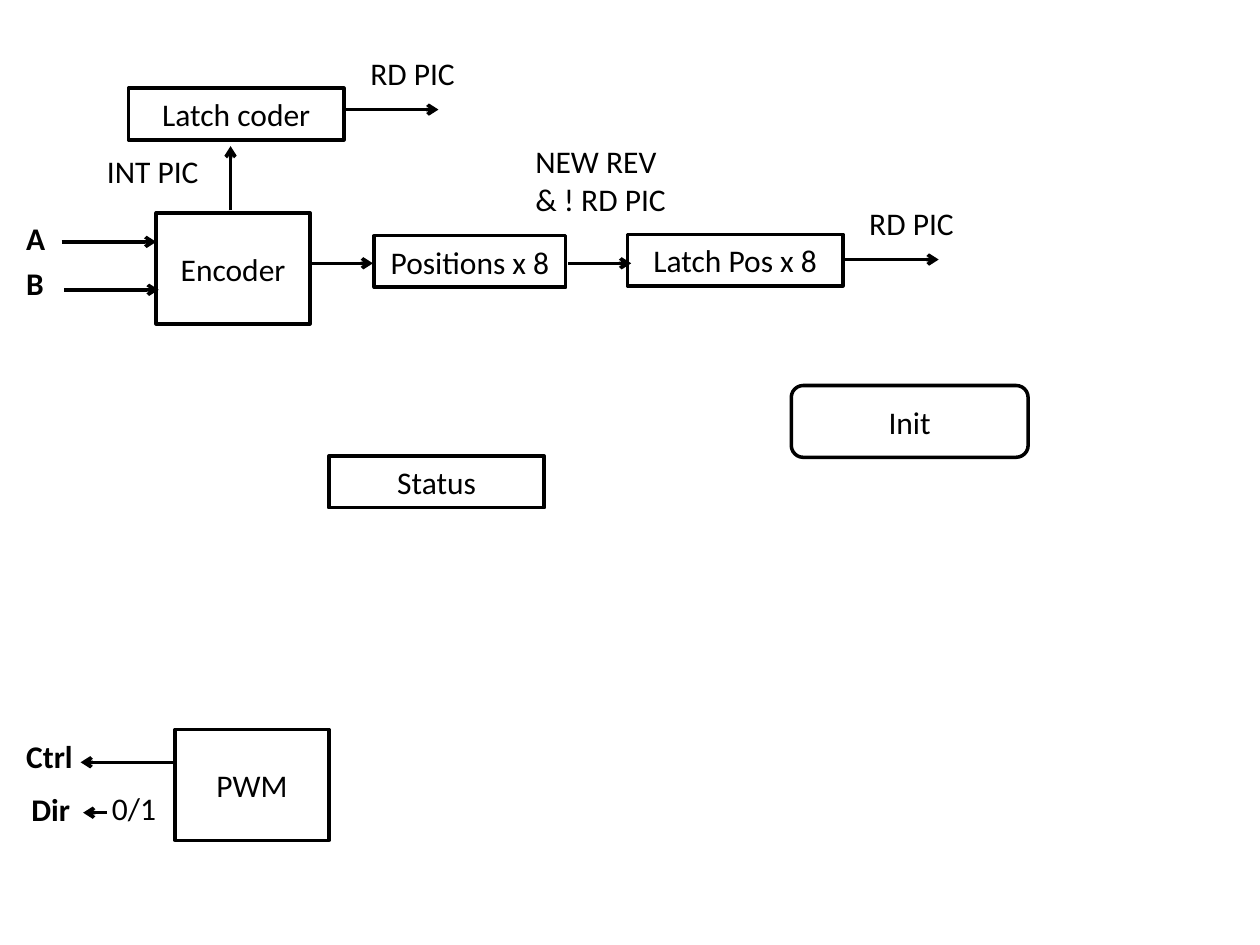
from pptx import Presentation
from pptx.dml.color import RGBColor
from pptx.enum.shapes import MSO_CONNECTOR, MSO_SHAPE
from pptx.enum.text import MSO_ANCHOR, MSO_AUTO_SIZE, PP_ALIGN
from pptx.oxml.ns import qn
from pptx.util import Inches, Pt
from lxml.etree import SubElement

# Grid of 100 columns by 75 rows; every length below is in its units
COLUMNS, ROWS = 100, 75
WIDTH, HEIGHT = Inches(10), Inches(7.5)
INK = "000000"
LINE_WIDTH = 2
LABEL_HEIGHT = 4
REGISTER_HEIGHT, REGISTER_WIDTH = 4.1, 17.1
BLOCK_WIDTH, BLOCK_HEIGHT = 12.2, 8.8
LONG_ARROW, SHORT_ARROW = 7.5, 5


def column(count):
    return round(WIDTH * count / COLUMNS)


def row(count):
    return round(HEIGHT * count / ROWS)


def color(value):
    return RGBColor.from_string(value)


def write(shape, text, size=18, font="Calibri", bold=False,
          align=PP_ALIGN.LEFT, anchor=MSO_ANCHOR.TOP, wrap=True):
    frame = shape.text_frame
    frame.word_wrap = wrap
    frame.vertical_anchor = anchor
    for index, line in enumerate(text.split("\n")):
        para = frame.add_paragraph() if index else frame.paragraphs[0]
        para.alignment = align
        span = para.add_run()
        span.text = line
        span.font.name = font
        span.font.size = Pt(size)
        span.font.bold = bold
        span.font.color.rgb = color(INK)


def add_block(page, text, left, top, width=REGISTER_WIDTH,
              height=REGISTER_HEIGHT, kind=MSO_SHAPE.RECTANGLE):
    box = page.shapes.add_shape(kind, column(left), row(top),
                                column(width), row(height))
    box.shadow.inherit = False
    box.fill.background()
    box.line.color.rgb = color(INK)
    box.line.width = Pt(LINE_WIDTH)
    write(box, text, align=PP_ALIGN.CENTER, anchor=MSO_ANCHOR.MIDDLE)


def add_label(page, text, left, top, width, height=LABEL_HEIGHT, bold=False):
    box = page.shapes.add_textbox(column(left), row(top),
                                  column(width), row(height))
    write(box, text, bold=bold, wrap=False)
    box.text_frame.auto_size = MSO_AUTO_SIZE.SHAPE_TO_FIT_TEXT


def add_arrow(page, left, top, across=0, down=0):
    arrow = page.shapes.add_connector(
        MSO_CONNECTOR.STRAIGHT, column(left), row(top),
        column(left + across), row(top + down))
    arrow.line.color.rgb = color(INK)
    arrow.line.width = Pt(LINE_WIDTH)
    SubElement(arrow.line._get_or_add_ln(), qn("a:tailEnd"), type="arrow")
    SubElement(arrow._element.spPr, qn("a:effectLst"))


def draw_encoder(page):
    add_block(page, "Encoder", 12.4, 16.9, BLOCK_WIDTH, BLOCK_HEIGHT)
    # Inputs
    add_label(page, "A", 1.1, 16.9, 3.6, bold=True)
    add_label(page, "B", 1.1, 20.5, 3.6, bold=True)
    add_arrow(page, 4.9, 19.2, across=LONG_ARROW)
    add_arrow(page, 5.1, 23, across=LONG_ARROW)
    # Coder latch
    add_block(page, "Latch coder", 10.2, 7)
    add_arrow(page, 18.3, 16.7, down=-5.1)
    add_label(page, "INT PIC", 7.5, 11.6, 9.5)
    add_arrow(page, 27.3, 8.7, across=LONG_ARROW)
    add_label(page, "RD PIC", 28.4, 3.8, 8.9)


def draw_positions(page):
    add_arrow(page, 24.6, 20.9, across=SHORT_ARROW)
    add_block(page, "Positions x 8", 29.7, 18.7, width=15.2)
    add_arrow(page, 45.1, 20.9, across=SHORT_ARROW)
    add_label(page, "NEW REV\n& ! RD PIC", 41.5, 10.8, 12.5, height=7.1)
    add_block(page, "Latch Pos x 8", 49.8, 18.6)
    add_arrow(page, 67, 20.6, across=LONG_ARROW)
    add_label(page, "RD PIC", 68, 15.7, 8.9)


def draw_pwm(page):
    add_block(page, "PWM", 13.9, 57.9, BLOCK_WIDTH, BLOCK_HEIGHT)
    add_arrow(page, 13.9, 60.5, across=-LONG_ARROW)
    add_label(page, "Ctrl", 1.1, 58, 5.7, bold=True)
    add_label(page, "Dir", 1.5, 62.2, 5.1, bold=True)
    add_arrow(page, 8.5, 64.5, across=-1.9)
    add_label(page, "0/1", 7.9, 62.1, 5.6)


def main():
    deck = Presentation()
    deck.slide_width, deck.slide_height = WIDTH, HEIGHT
    page = deck.slides.add_slide(deck.slide_layouts.get_by_name("Blank"))
    draw_encoder(page)
    draw_positions(page)
    draw_pwm(page)
    # Standalone blocks
    add_block(page, "Status", 26.1, 36.2)
    add_block(page, "Init", 62.8, 30.6, 18.8, 5.7,
              kind=MSO_SHAPE.ROUNDED_RECTANGLE)
    deck.save("out.pptx")


main()
